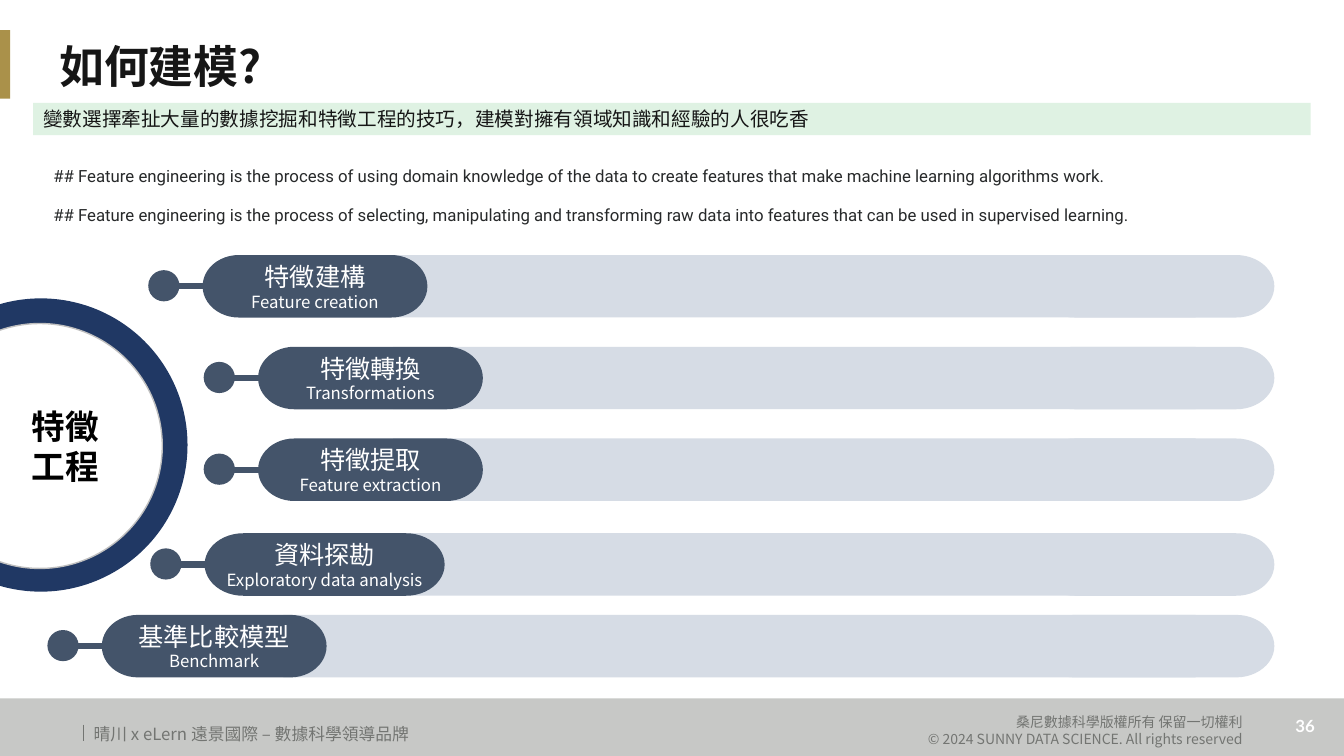
import pptx
import pptx.dml.color
import pptx.enum.shapes
import pptx.enum.text
import pptx.oxml.ns
import pptx.util
from dataclasses import dataclass
from lxml import etree

Inches = pptx.util.Inches
Shape = pptx.enum.shapes.MSO_SHAPE
Align = pptx.enum.text.PP_ALIGN
Anchor = pptx.enum.text.MSO_ANCHOR


@dataclass(frozen=True)
class Theme:
    cjk: str = "Noto Sans CJK SC"
    latin: str = "Roboto"
    number: str = "Lato"
    white: str = "FFFFFF"
    black: str = "000000"
    ink: str = "161616"
    body: str = "27292A"
    footer: str = "C7C8C6"
    footer_ink: str = "737572"
    gold: str = "AA914A"
    mint: str = "DFF2E3"
    slate: str = "44546A"
    bar: str = "D6DCE5"
    navy: str = "203864"
    ring_edge: str = "BFBFBF"
    title_size: float = 32
    hub_size: float = 24
    step_size: float = 18
    lead_size: float = 14
    text_size: float = 12
    small_size: float = 10


def rgb(value):
    return pptx.dml.color.RGBColor.from_string(value)


class SlideBuilder:
    def __init__(self, slide, theme):
        self.shapes = slide.shapes
        self.theme = theme

    def fill_text(self, item, lines, frame_format=None, paragraph_format=None):
        """Fill item with (text, size, colour, bold, font) lines, one paragraph each."""
        frame = item.text_frame
        frame.word_wrap = True
        for name, value in (frame_format or {}).items():
            setattr(frame, name, value)
        for index, (text, size, color, bold, family) in enumerate(lines):
            paragraph = frame.paragraphs[0] if index == 0 else frame.add_paragraph()
            for name, value in (paragraph_format or {}).items():
                if index or name != "space_before":
                    setattr(paragraph, name, value)
            run = paragraph.add_run()
            run.text = text
            font_format = {"size": pptx.util.Pt(size), "bold": bold, "name": family}
            for name, value in font_format.items():
                setattr(run.font, name, value)
            run.font.color.rgb = rgb(color)
            east_asian = etree.SubElement(run.font._element, pptx.oxml.ns.qn("a:ea"))
            east_asian.set("typeface", family)

    def text(self, box, lines, frame_format=None, paragraph_format=None):
        item = self.shapes.add_textbox(*map(Inches, box))
        self.fill_text(item, lines, frame_format, paragraph_format)

    def shape(self, kind, box, fill, edge=None):
        item = self.shapes.add_shape(kind, *map(Inches, box))
        item.shadow.inherit = False
        item.fill.solid()
        item.fill.fore_color.rgb = rgb(fill)
        if edge:
            item.line.color.rgb = rgb(edge)
            item.line.width = pptx.util.Pt(1)
        else:
            item.line.fill.background()
        return item

    def line(self, ends, color, width):
        item = self.shapes.add_connector(
            pptx.enum.shapes.MSO_CONNECTOR.STRAIGHT, *map(Inches, ends))
        item.line.color.rgb = rgb(color)
        item.line.width = pptx.util.Pt(width)
        etree.SubElement(item._element.spPr, pptx.oxml.ns.qn("a:effectLst"))

    def footer(self):
        t = self.theme
        self.shape(Shape.RECTANGLE, (0, 6.93, 13.33, 0.57), t.footer)
        self.line((0.83, 7.19, 0.83, 7.35), t.footer_ink, 0.5)
        self.text((12.75, 7.05, 0.39, 0.3),
                  [("36", t.text_size, t.white, True, t.number)],
                  paragraph_format={"alignment": Align.CENTER})
        rights = ("桑尼數據科學版權所有 保留一切權利",
                  "© 2024 SUNNY DATA SCIENCE. All rights reserved")
        self.text((7.68, 7.03, 4.74, 0.44),
                  [(text, t.small_size, t.footer_ink, False, t.cjk) for text in rights],
                  paragraph_format={"alignment": Align.RIGHT})
        self.text((0.83, 7.13, 4.74, 0.3),
                  [("晴川 x eLern 遠景國際 – 數據科學領導品牌",
                    t.text_size, t.footer_ink, False, t.cjk)])

    def heading(self):
        t = self.theme
        self.shape(Shape.RECTANGLE, (-0.03, 0.3, 0.13, 0.68), t.gold)
        self.text((0.49, 0.26, 12.42, 0.85),
                  [("如何建模?", t.title_size, t.ink, True, t.cjk)],
                  {"vertical_anchor": Anchor.MIDDLE}, {"line_spacing": 0.9})
        definitions = (
            "## Feature engineering is the process of using domain knowledge of the data "
            "to create features that make machine learning algorithms work.",
            "## Feature engineering is the process of selecting, manipulating and transforming "
            "raw data into features that can be used in supervised learning.",
        )
        self.text((0.43, 1.59, 12.15, 0.91),
                  [(text, t.text_size, t.body, False, t.latin) for text in definitions],
                  paragraph_format={"space_before": pptx.util.Pt(14)})
        lead = self.shape(Shape.RECTANGLE, (0.33, 1.02, 12.67, 0.32), t.mint)
        self.fill_text(lead, [("變數選擇牽扯大量的數據挖掘和特徵工程的技巧，建模對擁有領域知識和經驗的人很吃香",
                               t.lead_size, t.ink, False, t.cjk)],
                       {"vertical_anchor": Anchor.MIDDLE}, {"alignment": Align.LEFT})

    def hub(self):
        t = self.theme
        self.shape(Shape.OVAL, (-1.05, 2.96, 2.91, 2.91), t.navy)
        core = self.shape(Shape.OVAL, (-0.82, 3.21, 2.43, 2.43), t.white, t.ring_edge)
        self.fill_text(core,
                       [(text, t.hub_size, t.black, True, t.cjk) for text in ("特徵", "工程")],
                       {"vertical_anchor": Anchor.MIDDLE, "margin_left": Inches(0.6)},
                       {"alignment": Align.CENTER})

    def bar(self, top, left):
        """Draw a pale bar with a rounded right end."""
        self.shape(Shape.RECTANGLE, (left, top, 11.86 - left, 0.62), self.theme.bar)
        self.shape(Shape.FLOWCHART_TERMINATOR, (10.28, top, 2.36, 0.62), self.theme.bar)

    def step(self, chinese, english, top, left, width):
        """Draw a labelled pill joined to a dot on its left."""
        t = self.theme
        dot_left, middle = left - 0.54, top + 0.31
        self.line((dot_left + 0.15, middle, dot_left + 0.79, middle), t.slate, 4.5)
        pill = self.shape(Shape.FLOWCHART_TERMINATOR, (left, top, width, 0.62), t.slate)
        self.fill_text(pill, [(chinese, t.step_size, t.white, False, t.cjk),
                              (english, t.text_size, t.white, False, t.cjk)],
                       {"vertical_anchor": Anchor.MIDDLE}, {"alignment": Align.CENTER})
        self.shape(Shape.OVAL, (dot_left, middle - 0.16, 0.31, 0.31), t.slate)


def main():
    deck = pptx.Presentation()
    deck.slide_width, deck.slide_height = Inches(13.33), Inches(7.5)
    builder = SlideBuilder(deck.slides.add_slide(deck.slide_layouts[6]), Theme())
    steps = [
        ("特徵建構", "Feature creation", 2.53, 2.01, 2.23),
        ("特徵轉換", "Transformations", 3.44, 2.56, 2.23),
        ("特徵提取", "Feature extraction", 4.35, 2.56, 2.23),
        ("資料探勘", "Exploratory data analysis", 5.29, 2.03, 2.38),
        ("基準比較模型", "Benchmark", 6.1, 1.01, 2.23),
    ]
    builder.footer()
    for chinese, english, top, left, width in steps:
        builder.bar(top, 2.81 if english == "Benchmark" else 3.9)
    builder.heading()
    builder.hub()
    for step in steps:
        builder.step(*step)
    deck.save("out.pptx")


if __name__ == "__main__":
    main()
